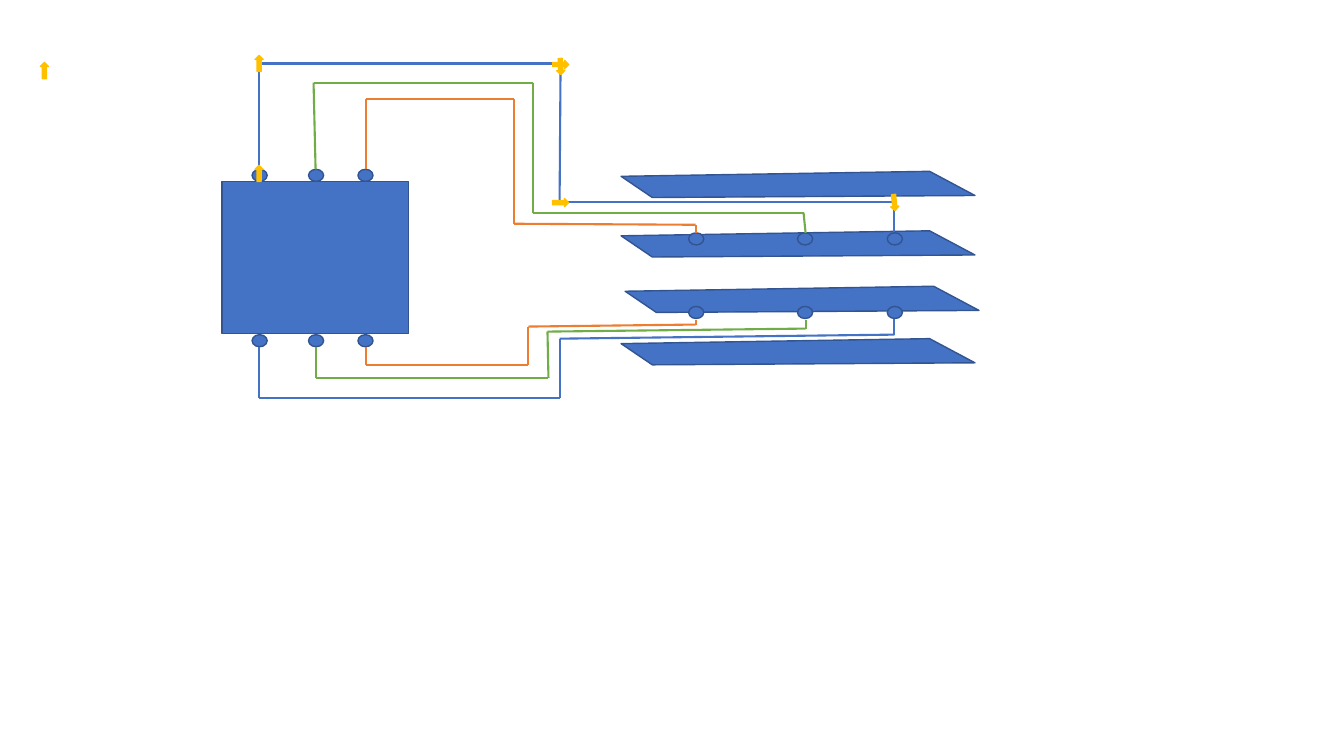
from itertools import pairwise

from lxml import etree
from pptx import Presentation
from pptx.dml.color import RGBColor
from pptx.enum import shapes
from pptx.oxml.ns import qn
from pptx.util import Inches, Pt

BLUE, GREEN, ORANGE, GOLD, EDGE = "4472C4", "70AD47", "ED7D31", "FFC000", "325491"


def color(value):
    """Turn a hex string into a colour."""
    return RGBColor.from_string(value)


class Diagram:
    """Holds the drawing style and the current slide."""

    edge_width = Pt(1)
    wire_width = Pt(1.5)

    def __init__(self, slide):
        """Start drawing on a slide."""
        self.slide = slide

    def paint(self, shape, fill, line):
        """Give a shape its fill and outline, without shadow."""
        shape.shadow.inherit = False
        shape.fill.solid()
        shape.fill.fore_color.rgb = color(fill)
        shape.line.color.rgb = color(line)
        shape.line.width = self.edge_width

    def preset(self, kind, left, top, width, height, fill=BLUE, line=EDGE):
        """Add a preset shape."""
        box = [Inches(length) for length in (left, top, width, height)]
        shape = self.slide.shapes.add_shape(kind, *box)
        self.paint(shape, fill, line)
        return shape

    def plate(self, left, top):
        """Add a slanted plate as a freeform."""
        outline = [(0.31, 0.26), (3.51, 0.24), (3.06, 0), (0, 0.05)]
        points = [(Inches(left + x), Inches(top + y)) for x, y in outline]
        builder = self.slide.shapes.build_freeform(*points[0])
        builder.add_line_segments(points[1:], close=True)
        self.paint(builder.convert_to_shape(), BLUE, EDGE)

    def terminal(self, left, top):
        """Add a round terminal."""
        self.preset(shapes.MSO_SHAPE.FLOWCHART_CONNECTOR, left, top, 0.15, 0.12)

    def wire(self, line, points):
        """Join successive points with straight connectors."""
        for start, end in pairwise(points):
            ends = [Inches(length) for length in (*start, *end)]
            connector = self.slide.shapes.add_connector(
                shapes.MSO_CONNECTOR.STRAIGHT, *ends)
            connector.line.color.rgb = color(line)
            connector.line.width = self.wire_width
            properties = connector._element.spPr
            etree.SubElement(properties, qn("a:effectLst"))

    def flow_arrow(self, left, top, rotation):
        """Add a small arrow showing the direction of flow."""
        arrow = self.preset(shapes.MSO_SHAPE.RIGHT_ARROW, left, top,
                            0.16, 0.08, GOLD, GOLD)
        arrow.rotation = rotation


presentation = Presentation()
presentation.slide_width = Inches(13.33)
presentation.slide_height = Inches(7.5)
diagram = Diagram(presentation.slides.add_slide(presentation.slide_layouts[6]))

for left, top in [(6.16, 1.7), (6.16, 2.29), (6.2, 2.84), (6.16, 3.36)]:
    diagram.plate(left, top)

for left in (2.5, 3.06, 3.55):
    for top in (1.68, 3.32):
        diagram.terminal(left, top)
diagram.preset(shapes.MSO_SHAPE.RECTANGLE, 2.2, 1.8, 1.85, 1.51)
for left in (6.83, 7.91, 8.8):
    for top in (2.31, 3.04):
        diagram.terminal(left, top)

wires = [
    (BLUE, [(2.57, 1.68), (2.57, 0.63), (5.56, 0.63), (5.55, 2),
            (8.87, 2), (8.87, 2.3)]),
    (GREEN, [(3.13, 1.68), (3.11, 0.82), (5.29, 0.82), (5.29, 2.11),
             (7.97, 2.11), (7.99, 2.31)]),
    (ORANGE, [(3.63, 1.68), (3.63, 0.98), (5.1, 0.98), (5.1, 2.22),
              (6.9, 2.23), (6.9, 2.31)]),
    (ORANGE, [(3.63, 3.44), (3.63, 3.62), (5.24, 3.62), (5.24, 3.24),
              (6.9, 3.22), (6.9, 3.17)]),
    (GREEN, [(3.13, 3.44), (3.13, 3.75), (5.44, 3.75), (5.43, 3.29),
             (7.99, 3.26), (7.99, 3.17)]),
    (BLUE, [(2.57, 3.44), (2.57, 3.95), (5.55, 3.95), (5.55, 3.36),
            (8.87, 3.32), (8.87, 3.16)]),
]
for line, points in wires:
    diagram.wire(line, points)

flow_arrows = [(2.49, 1.68, 270), (2.49, 0.59, 270), (0.36, 0.66, 270),
               (5.48, 0.6, 0), (5.48, 0.62, 87.3), (5.48, 1.97, 0),
               (8.79, 1.97, 84.3)]
for left, top, rotation in flow_arrows:
    diagram.flow_arrow(left, top, rotation)

presentation.save("out.pptx")
